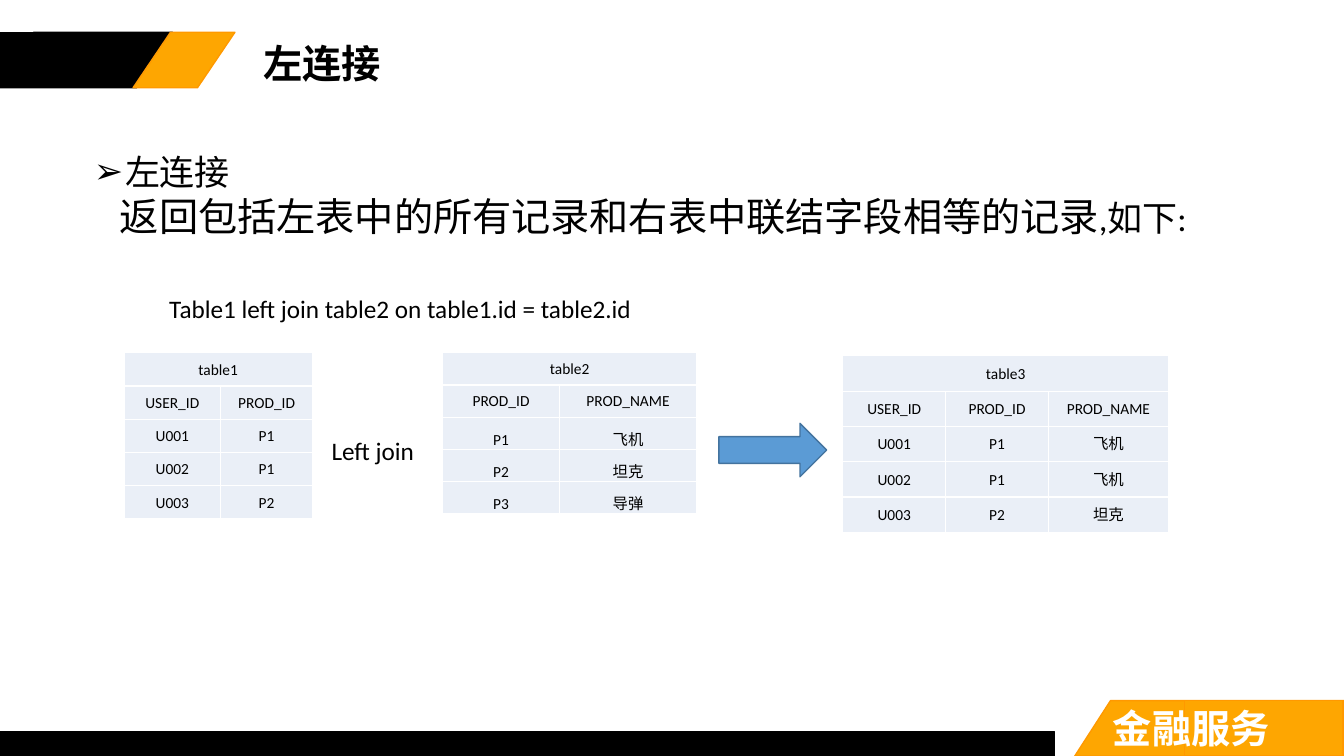
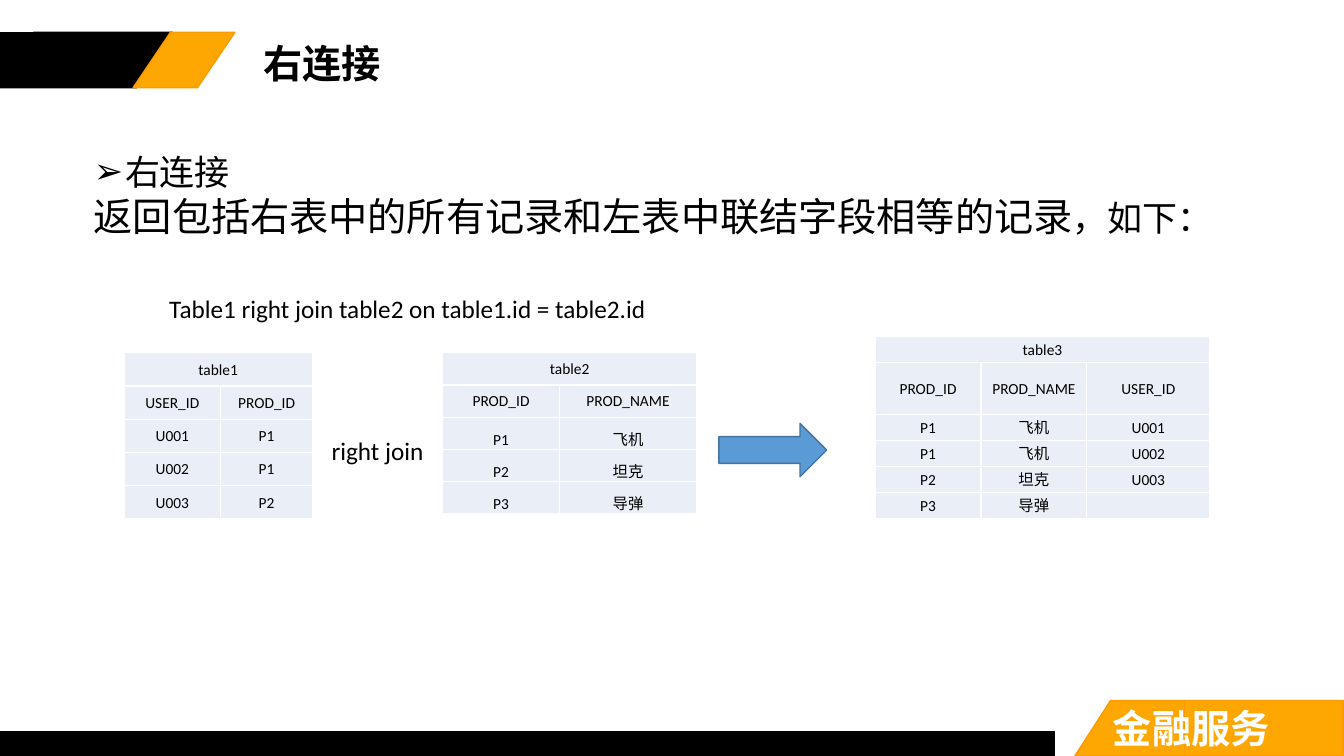
import pptx
import pptx.util
import pptx.dml.color
import pptx.enum.shapes
import pptx.enum.text
import pptx.oxml.ns
from lxml import etree

Inches = pptx.util.Inches
Pt = pptx.util.Pt
RGBColor = pptx.dml.color.RGBColor
SHAPE = pptx.enum.shapes.MSO_SHAPE
ANCHOR = pptx.enum.text.MSO_ANCHOR
ALIGN = pptx.enum.text.PP_ALIGN
qn = pptx.oxml.ns.qn

BLACK = RGBColor(0x00, 0x00, 0x00)
WHITE = RGBColor(0xFF, 0xFF, 0xFF)
ORANGE = RGBColor(0xFE, 0xA6, 0x01)
ORANGE_EDGE = RGBColor(0xFF, 0x99, 0x00)
BLUE = RGBColor(0x5B, 0x9B, 0xD5)
BLUE_EDGE = RGBColor(0x43, 0x73, 0x9E)
CELL_FILL = RGBColor(0xEA, 0xEF, 0xF7)
BODY_FONT = "Calibri"
TITLE_FONT = "DejaVu Sans Mono"
CHINESE_FONT = "Noto Sans CJK SC"


def write(paragraph, text, size=18, font=BODY_FONT, east_asian=None,
          color=BLACK, bold=False, align=ALIGN.LEFT):
    paragraph.alignment = align
    if not text:
        paragraph._p.get_or_add_endParaRPr().set("sz", str(size * 100))
        return
    run = paragraph.add_run()
    run.text = text
    run.font.size = Pt(size)
    run.font.name = font
    run.font.bold = bold
    run.font.color.rgb = color
    etree.SubElement(run._r.get_or_add_rPr(), qn("a:ea"), typeface=east_asian or font)


class Deck:
    """Holds the shared style and the slide being built."""

    def __init__(self):
        self.presentation = pptx.Presentation()
        self.presentation.slide_width = Inches(13.33)
        self.presentation.slide_height = Inches(7.5)
        self.layout = self.presentation.slide_layouts[1]
        self.slide = None

    def add_slide(self, title):
        first = self.slide is None
        self.slide = self.presentation.slides.add_slide(self.layout)
        if first:
            self.frame()
        self.title(title)

    def frame(self):
        shapes = [
            self.shape(SHAPE.PARALLELOGRAM, -0.02, 0.32, 1.73, 0.55, BLACK, BLACK, 0.645),
            self.shape(SHAPE.RECTANGLE, 0, 0.32, 1.01, 0.55, BLACK, BLACK),
            self.shape(SHAPE.PARALLELOGRAM, 1.32, 0.32, 1.01, 0.55, ORANGE, ORANGE_EDGE, 0.675),
            self.shape(SHAPE.RECTANGLE, 0, 7.26, 10.46, 0.24, BLACK, BLACK),
            self.shape(SHAPE.PARALLELOGRAM, 10.66, 6.95, 2.68, 0.55, ORANGE, ORANGE_EDGE, 0.645),
            self.shape(SHAPE.RECTANGLE, 11.75, 6.95, 1.57, 0.55, ORANGE, ORANGE_EDGE),
            self.text("金融服务", 10.94, 6.94, 2.52, 0.57, anchor=ANCHOR.MIDDLE,
                      size=28, font=CHINESE_FONT, color=WHITE, bold=True),
        ]
        for number, shape in enumerate(shapes, 101):
            shape.element.nvSpPr.cNvPr.set("id", str(number))
            self.layout.shapes.element.append(shape.element)

    def place(self, shape, left, top, width, height):
        shape.left, shape.top = Inches(left), Inches(top)
        shape.width, shape.height = Inches(width), Inches(height)
        text_frame = shape.text_frame
        text_frame.auto_size = pptx.enum.text.MSO_AUTO_SIZE.NONE
        text_frame.vertical_anchor = ANCHOR.TOP
        return text_frame

    def title(self, text):
        text_frame = self.place(self.slide.shapes.title, 2.51, 0.32, 5.15, 0.56)
        text_frame.margin_top, text_frame.margin_bottom = Inches(0.12), Inches(0.08)
        paragraph = text_frame.paragraphs[0]
        paragraph.line_spacing = 0.9
        paragraph.space_before = Pt(0)
        write(paragraph, text, size=28, font=TITLE_FONT, east_asian=CHINESE_FONT, bold=True)

    def body(self, heading, sentence, ending, indent):
        text_frame = self.place(self.slide.placeholders[1], 0.83, 1.44, 11.81, 0.99)
        bullet, detail = text_frame.paragraphs[0], text_frame.add_paragraph()
        write(bullet, heading, size=25)
        write(detail, sentence, size=28)
        write(detail, ending, size=25)
        for paragraph, margin, hanging in ((bullet, 0.31, -0.31), (detail, indent, 0)):
            paragraph.line_spacing = 1.0
            paragraph.space_before = Pt(0)
            properties = paragraph._p.get_or_add_pPr()
            properties.set("marL", str(Inches(margin)))
            properties.set("indent", str(Inches(hanging)))
        etree.SubElement(bullet._p.get_or_add_pPr(), qn("a:buChar"), char="➢")
        etree.SubElement(detail._p.get_or_add_pPr(), qn("a:buNone"))

    def shape(self, kind, left, top, width, height, fill, line, adjustment=None):
        shape = self.slide.shapes.add_shape(
            kind, Inches(left), Inches(top), Inches(width), Inches(height))
        shape.shadow.inherit = False
        shape.fill.solid()
        shape.fill.fore_color.rgb = fill
        shape.line.color.rgb = line
        shape.line.width = Pt(1)
        if adjustment is not None:
            shape.adjustments[0] = adjustment
        return shape

    def text(self, text, left, top, width, height, wrap=True, anchor=ANCHOR.TOP, **style):
        box = self.slide.shapes.add_textbox(
            Inches(left), Inches(top), Inches(width), Inches(height))
        box.text_frame.word_wrap = wrap
        box.text_frame.vertical_anchor = anchor
        write(box.text_frame.paragraphs[0], text, **style)
        return box

    def table(self, name, rows, left, top, widths, heights, data_anchor=ANCHOR.MIDDLE):
        table = self.slide.shapes.add_table(
            len(heights), len(widths), Inches(left), Inches(top),
            Inches(sum(widths)), Inches(sum(heights))).table
        table.first_row = table.horz_banding = False
        for column, width in zip(table.columns, widths):
            column.width = Inches(width)
        for row, height in zip(table.rows, heights):
            row.height = Inches(height)
        table.cell(0, 0).merge(table.cell(0, len(widths) - 1))
        caption = [name] + [""] * (len(widths) - 1)
        for row_index, values in enumerate([caption] + rows):
            for column_index, value in enumerate(values):
                cell = table.cell(row_index, column_index)
                cell.fill.solid()
                cell.fill.fore_color.rgb = CELL_FILL
                cell.margin_left = cell.margin_right = cell.margin_top = Inches(0.01)
                cell.margin_bottom = 0
                cell.vertical_anchor = data_anchor if row_index > 1 else ANCHOR.MIDDLE
                write(cell.text_frame.paragraphs[0], value, size=11, align=ALIGN.CENTER)

    def join(self, label, label_width, statement, statement_width):
        self.table("table1", USERS, 1.23, 3.5, [0.96, 0.91], [0.33] * 5)
        self.table("table2", PRODUCTS, 4.39, 3.5, [1.16, 1.36], [0.32] * 5, ANCHOR.BOTTOM)
        self.text(label, 3.19, 4.27, label_width, 0.4, wrap=False)
        self.shape(SHAPE.RIGHT_ARROW, 7.13, 4.2, 1.07, 0.53, BLUE, BLUE_EDGE)
        self.text(statement, 1.58, 2.86, statement_width, 0.4, wrap=False)


USERS = [["USER_ID", "PROD_ID"], ["U001", "P1"], ["U002", "P1"], ["U003", "P2"]]
PRODUCTS = [["PROD_ID", "PROD_NAME"], ["P1", "飞机"], ["P2", "坦克"], ["P3", "导弹"]]
LEFT_RESULT = [
    ["USER_ID", "PROD_ID", "PROD_NAME"],
    ["U001", "P1", "飞机"],
    ["U002", "P1", "飞机"],
    ["U003", "P2", "坦克"],
]
RIGHT_RESULT = [
    ["PROD_ID", "PROD_NAME", "USER_ID"],
    ["P1", "飞机", "U001"],
    ["P1", "飞机", "U002"],
    ["P2", "坦克", "U003"],
    ["P3", "导弹", ""],
]

deck = Deck()

deck.add_slide("左连接")
deck.body("左连接", "返回包括左表中的所有记录和右表中联结字段相等的记录", ",如下:".replace(",", ",").replace(":", ":"), 0.26)
deck.join("Left join", 1.04, "Table1 left join table2 on table1.id = table2.id", 4.85)
deck.table("table3", LEFT_RESULT, 8.36, 3.53, [1.02, 1.02, 1.19], [0.35] * 5)

deck.add_slide("右连接")
deck.body("右连接", "返回包括右表中的所有记录和左表中联结字段相等的记录", "\uff0c如下\uff1a", 0)
deck.join("right join", 1.12, "Table1 right join table2 on table1.id = table2.id", 4.98)
deck.table("table3", RIGHT_RESULT, 8.68, 3.34, [1.05, 1.05, 1.22],
           [0.26, 0.51] + [0.26] * 4)

deck.presentation.save("out.pptx")
